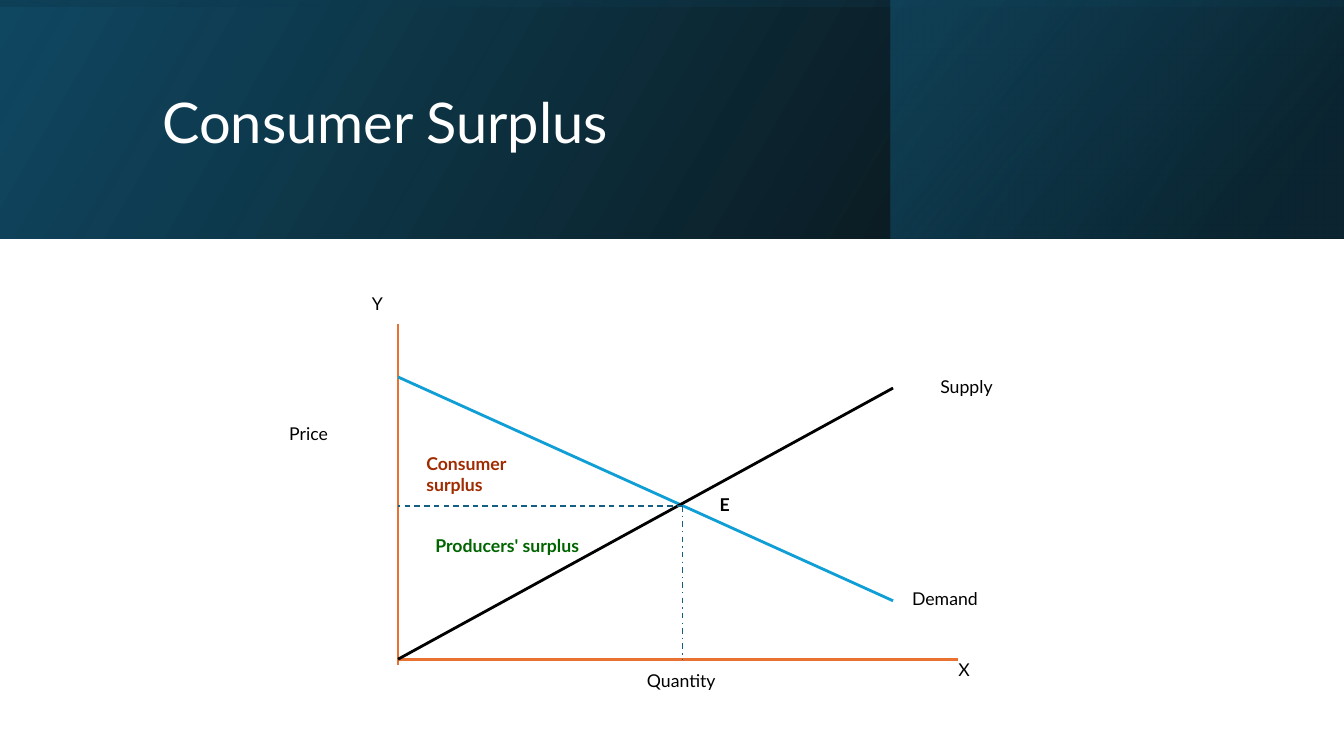
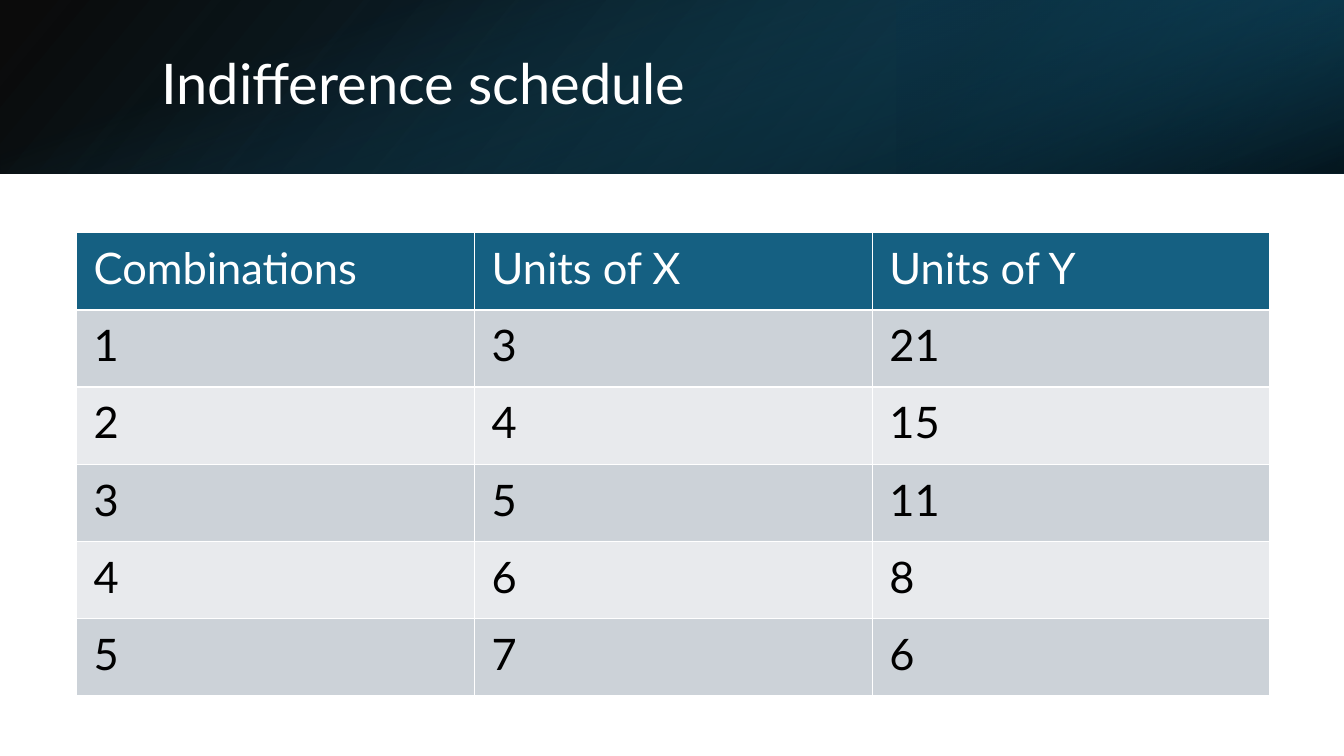
from lxml import etree
from pptx import Presentation, oxml, util as u
from pptx.dml.color import RGBColor
from pptx.enum import dml, shapes, text
from pptx.oxml.ns import nsdecls, qn

WIDTH, HEIGHT = u.Inches(13.33), u.Inches(7.5)
FONT = "Lato"
COLORS = {
    "white": "FFFFFF", "black": "000000", "navy": "104862", "night": "0B3041",
    "teal": "156082", "orange": "E97132", "sky": "0F9ED5", "green": "006500",
    "rust": "A02B00", "row_dark": "CCD2D8", "row_light": "E8EAED",
}


def across(percent):
    return u.Emu(round(WIDTH * percent / 100))


def down(percent):
    return u.Emu(round(HEIGHT * percent / 100))


def place(left, top, width, height):
    """Turn shares of the slide, in percent, into lengths."""
    return across(left), down(top), across(width), down(height)


def rgb(name):
    return RGBColor.from_string(COLORS[name])


def style_font(font, size, color, bold=False):
    font.name, font.size, font.bold = FONT, u.Pt(size), bold
    font.color.rgb = rgb(color)


def fill_gradient(shape, stops, angle):
    """Fill with (position, colour, opacity) stops; the angle runs clockwise."""
    marks = "".join(
        f'<a:gs pos="{position * 1000}"><a:srgbClr val="{COLORS[color]}">'
        f'<a:alpha val="{opacity * 1000}"/></a:srgbClr></a:gs>'
        for position, color, opacity in stops)
    gradient = oxml.parse_xml(
        f'<a:gradFill {nsdecls("a")} rotWithShape="1"><a:gsLst>{marks}</a:gsLst>'
        f'<a:lin ang="{angle * 60000}" scaled="0"/></a:gradFill>')
    shape._element.spPr.find(qn("a:prstGeom")).addnext(gradient)


def add_band(slide, left, width, height, stops, angle, rotation=0, flip=True):
    """Add a gradient band at the slide top, keeping its place when rotated."""
    x, y, wide, high = place(left, 0, width, height)
    if rotation % 180:
        x, y, wide, high = x + (wide - high) // 2, y + (high - wide) // 2, high, wide
    band = slide.shapes.add_shape(shapes.MSO_SHAPE.RECTANGLE, x, y, wide, high)
    band.shadow.inherit = False
    band.line.fill.background()
    fill_gradient(band, stops, angle)
    band.rotation = rotation
    if flip:
        band._element.spPr.find(qn("a:xfrm")).set("flipH", "1")


def add_header(slide, height, split, angle, corner, veil):
    """Lay the base band, the right-hand corner band and the veil over both."""
    add_band(slide, 0, 100, height, [(0, "black", 96), (100, "navy", 100)], angle)
    add_band(slide, split, 100 - split, height, angle=320, **corner)
    add_band(slide, 0, 100, height, **veil)


def set_title(slide, words, *box):
    title = slide.shapes.title
    title.left, title.top, title.width, title.height = place(*box)
    slide.shapes._spTree.append(title._element)
    frame = title.text_frame
    frame.text = words
    frame.auto_size = text.MSO_AUTO_SIZE.NONE
    frame.vertical_anchor = text.MSO_ANCHOR.MIDDLE
    para = frame.paragraphs[0]
    para.alignment, para.line_spacing = text.PP_ALIGN.LEFT, 0.9
    style_font(para.font, 40, "white")


def add_line(group, start, end, color, weight=2, dash=None):
    line = group.shapes.add_connector(
        shapes.MSO_CONNECTOR.STRAIGHT,
        across(start[0]), down(start[1]), across(end[0]), down(end[1]))
    line.line.color.rgb = rgb(color)
    line.line.width = u.Pt(weight)
    if dash:
        line.line.dash_style = dash
    etree.SubElement(line._element.spPr, qn("a:effectLst"))


def add_label(group, words, left, top, width, height=3.8, color="black", bold=False):
    frame = group.shapes.add_textbox(*place(left, top, width, height)).text_frame
    frame.word_wrap = True
    frame.text = words
    para = frame.paragraphs[0]
    para.space_after = u.Pt(6)
    style_font(para.font, 12.6, color, bold)


def set_borders(cell, color, weight):
    properties = cell._tc.get_or_add_tcPr()
    for index, side in enumerate(("lnL", "lnR", "lnT", "lnB")):
        properties.insert(index, oxml.parse_xml(
            f'<a:{side} {nsdecls("a")} w="{u.Pt(weight)}"><a:solidFill>'
            f'<a:srgbClr val="{COLORS[color]}"/></a:solidFill></a:{side}>'))


def add_grid(slide, rows, *box):
    table = slide.shapes.add_table(len(rows), len(rows[0]), *place(*box)).table
    for row_index, row in enumerate(rows):
        if row_index == 0:
            fill, ink = "teal", "white"
        else:
            fill, ink = ("row_dark" if row_index % 2 else "row_light"), "black"
        for column_index, value in enumerate(row):
            cell = table.cell(row_index, column_index)
            cell.text = str(value)
            cell.margin_left = cell.margin_right = u.Inches(0.17)
            cell.margin_top = cell.margin_bottom = u.Inches(0.09)
            cell.fill.solid()
            cell.fill.fore_color.rgb = rgb(fill)
            set_borders(cell, "white", 1)
            style_font(cell.text_frame.paragraphs[0].font, 31, ink)


def add_surplus_diagram(slide):
    group = slide.shapes.add_group_shape()
    left, base, right = 29.62, 87.2, 66.45
    middle, price = 50.78, 66.93
    add_line(group, (left, base), (71.25, base), "orange")
    add_line(group, (left, 42.8), (left, 88), "orange")
    add_line(group, (left, 49.87), (right, 79.47), "sky")
    add_line(group, (left, base), (right, 51.33), "black")
    add_line(group, (middle, price), (left, price), "teal", 1, dml.MSO_LINE.DASH)
    add_line(group, (middle, price), (middle, base), "teal", 1, dml.MSO_LINE.DASH_DOT)

    for label in (
        ("Supply", 69.23, 49.07, 10.2),
        ("Quantity", 47.4, 88, 10.2),
        ("Demand", 67.13, 77.07, 9.5),
        ("Price", 20.78, 55.33, 6.15),
        ("X", 70.58, 86.53, 6.15),
        ("Y", 26.93, 38.13, 6.15),
        ("E", 52.8, 64.67, 5.5, 3.8, "black", True),
        ("Producers' surplus", 31.65, 70.13, 15, 4.1, "green", True),
        ("Consumer surplus", 30.98, 59.2, 10.95, 6.7, "rust", True),
    ):
        add_label(group, *label)


def main():
    deck = Presentation()
    deck.slide_width, deck.slide_height = WIDTH, HEIGHT
    title_only = deck.slide_layouts[5]

    surplus = deck.slides.add_slide(title_only)
    add_header(
        surplus, 31.6, 66.3, 330,
        corner={"stops": [(19, "night", 68), (100, "teal", 48)]},
        veil={"stops": [(23, "navy", 16), (99, "black", 45)],
              "angle": 350, "rotation": 270})
    set_title(surplus, "Consumer Surplus", 11.33, 5.07, 79.73, 22.93)
    add_surplus_diagram(surplus)

    schedule = deck.slides.add_slide(title_only)
    add_header(
        schedule, 22.93, 66.68, 140,
        corner={"stops": [(19, "night", 68), (100, "teal", 79)], "rotation": 180},
        veil={"stops": [(23, "teal", 0), (99, "black", 74)],
              "angle": 340, "rotation": 90, "flip": False})
    set_title(schedule, "Indifference schedule", 11.25, 5.07, 82.35, 12.8)
    add_grid(schedule, [
        ("Combinations", "Units of X", "Units of Y"),
        (1, 3, 21), (2, 4, 15), (3, 5, 11), (4, 6, 8), (5, 7, 6),
    ], 5.7, 30.8, 88.8, 61.2)

    deck.save("out.pptx")


if __name__ == "__main__":
    main()
